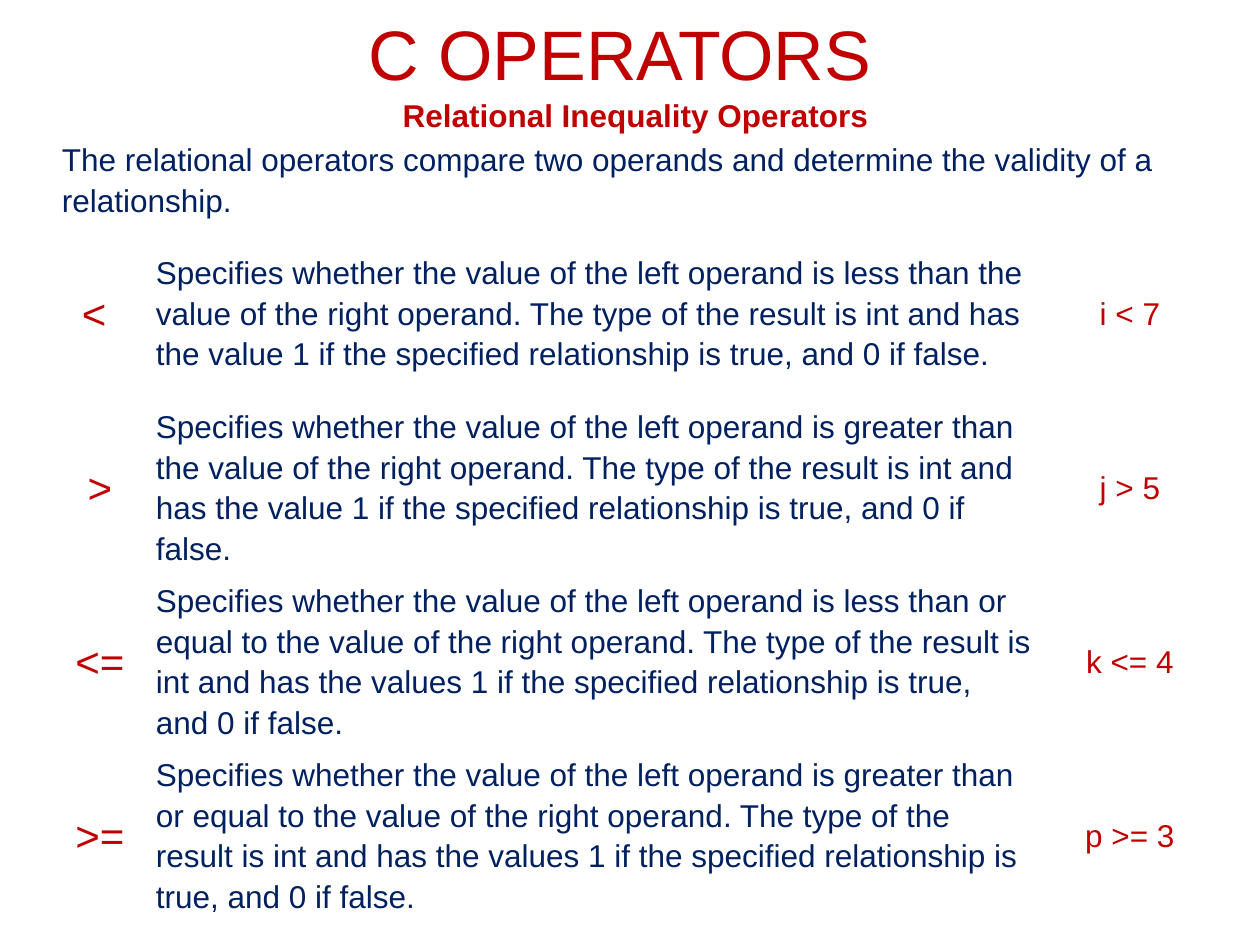
import pptx
import pptx.dml.color
import pptx.enum.text
import pptx.util

PX = 914400 / 126
COLORS = {"red": "C00000", "navy": "002060"}
CENTER = pptx.enum.text.PP_ALIGN.CENTER
LEFT = pptx.enum.text.PP_ALIGN.LEFT
TOP = pptx.enum.text.MSO_ANCHOR.TOP
MIDDLE = pptx.enum.text.MSO_ANCHOR.MIDDLE

COLUMN_WIDTHS = [94, 895, 176]
ROW_HEIGHTS = [44, 87, 174, 174, 174, 174]
HEADING = "Relational Inequality Operators"
INTRODUCTION = (
    "The relational operators compare two operands and determine "
    "the validity of a relationship."
)
DESCRIPTION = (
    "Specifies whether the value of the left operand is {} the value of the "
    "right operand. The type of the result is int and has the {} 1 if the "
    "specified relationship is true, and 0 if false."
)
OPERATORS = [
    ("< ", "less than", "value", "i < 7"),
    (">", "greater than", "value", "j > 5"),
    ("<=", "less than or equal to", "values", "k <= 4"),
    (">=", "greater than or equal to", "values", "p >= 3"),
]


def px(length):
    return pptx.util.Emu(round(length * PX))


def write(paragraph, text, size, color, align, bold=False):
    paragraph.text = text
    paragraph.alignment = align
    font = paragraph.font
    font.name = "Arial"
    font.size = pptx.util.Pt(size)
    font.bold = bold
    font.color.rgb = pptx.dml.color.RGBColor.from_string(COLORS[color])


def add_title(slide, text):
    title = slide.shapes.add_textbox(px(53), px(4), px(1134), px(97))
    title.text_frame.word_wrap = True
    title.text_frame.vertical_anchor = MIDDLE
    write(title.text_frame.paragraphs[0], text, 40, "red", CENTER)


def add_operator_table(slide):
    table = slide.shapes.add_table(
        len(ROW_HEIGHTS), len(COLUMN_WIDTHS), px(53), px(94),
        px(sum(COLUMN_WIDTHS)), px(sum(ROW_HEIGHTS)),
    ).table
    table.first_row = False
    table.horz_banding = False
    for column, width in zip(table.columns, COLUMN_WIDTHS):
        column.width = px(width)
    for row, height in zip(table.rows, ROW_HEIGHTS):
        row.height = px(height)
    for cell in table.iter_cells():
        cell.fill.background()
        cell.margin_left = cell.margin_right = px(9)
        cell.margin_top = cell.margin_bottom = 0
    return table


def fill_cell(cell, text, size, color, align, anchor=MIDDLE, bold=False):
    cell.vertical_anchor = anchor
    paragraph = cell.text_frame.paragraphs[0]
    paragraph.line_spacing = 1.15
    write(paragraph, text, size, color, align, bold)


def fill_spanning_row(table, row, text, color, align, bold=False):
    first = table.cell(row, 0)
    first.merge(table.cell(row, len(COLUMN_WIDTHS) - 1))
    fill_cell(first, text, 18, color, align, TOP, bold)


def main():
    deck = pptx.Presentation()
    deck.slide_width, deck.slide_height = px(1260), px(945)
    slide = deck.slides.add_slide(deck.slide_layouts[6])

    table = add_operator_table(slide)
    fill_spanning_row(table, 0, HEADING, "red", CENTER, bold=True)
    fill_spanning_row(table, 1, INTRODUCTION, "navy", LEFT)
    for row, (symbol, relation, noun, example) in enumerate(OPERATORS, 2):
        description = DESCRIPTION.format(relation, noun)
        fill_cell(table.cell(row, 0), symbol, 24, "red", CENTER)
        fill_cell(table.cell(row, 1), description, 18, "navy", LEFT)
        fill_cell(table.cell(row, 2), example, 18, "red", CENTER)

    add_title(slide, "C OPERATORS")
    deck.save("out.pptx")


if __name__ == "__main__":
    main()
